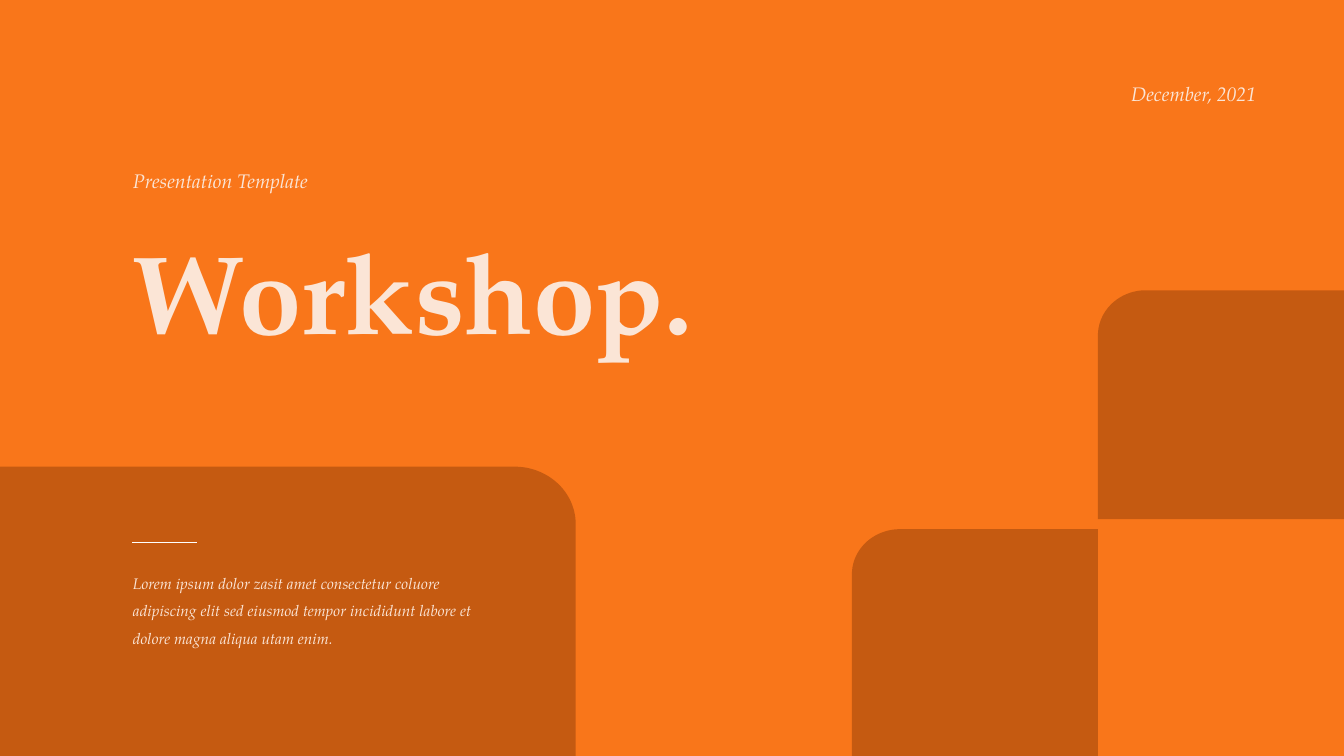
from dataclasses import dataclass
from math import cos, pi, sin

from pptx import Presentation
from pptx.dml.color import RGBColor as Rgb
from pptx.enum.shapes import MSO_CONNECTOR as Connector
from pptx.enum.text import MSO_AUTO_SIZE as AutoSize
from pptx.oxml.ns import qn
from pptx.util import Inches, Pt
from lxml.etree import SubElement

PAGE_WIDTH, PAGE_HEIGHT = 13.33, 7.5
TILE_WIDTH, TILE_HEIGHT, TILE_GAP = 2.44, 2.27, 0.1
MARGIN = 1.22


@dataclass(frozen=True)
class Theme:
    font: str = "TeX Gyre Pagella"
    background: Rgb = Rgb(0xF9, 0x76, 0x1A)
    panel: Rgb = Rgb(0xC5, 0x5A, 0x11)
    text: Rgb = Rgb(0xFB, 0xE5, 0xD6)
    rule: Rgb = Rgb(0xFF, 0xFF, 0xFF)
    title_size: int = 80
    label_size: int = 14
    body_size: int = 11


THEME = Theme()


def add_panel(page, left, top, width, height, round_left):
    """Draw a panel with one rounded top corner, cut off at the page bottom."""
    right, bottom = left + width, min(top + height, PAGE_HEIGHT)
    radius_x, radius_y = 0.21 * height, 0.197 * height
    inner, outer, far = (1, left, right) if round_left else (-1, right, left)
    steps = 40
    angles = [step * pi / 2 / steps for step in range(steps + 1)]
    corner = [(outer + inner * radius_x * (1 - cos(angle)),
               top + radius_y * (1 - sin(angle))) for angle in angles]
    points = [(outer, bottom), *corner, (far, top), (far, bottom)]
    start, *rest = [(Inches(x), Inches(y)) for x, y in points]
    builder = page.shapes.build_freeform(*start)
    builder.add_line_segments(rest, close=True)
    panel = builder.convert_to_shape()
    panel.shadow.inherit = False
    panel.fill.solid()
    panel.fill.fore_color.rgb = THEME.panel
    panel.line.fill.background()


def add_text(page, area, lines, size, wrap=False, spacing=None, **style):
    box = page.shapes.add_textbox(*map(Inches, area))
    frame = box.text_frame
    frame.word_wrap = wrap
    frame.auto_size = AutoSize.SHAPE_TO_FIT_TEXT
    font_format = {"name": THEME.font, "size": Pt(size), **style}
    for index, line in enumerate(lines):
        para = frame.add_paragraph() if index else frame.paragraphs[0]
        para.line_spacing = spacing
        span = para.add_run()
        span.text = line
        for key, value in font_format.items():
            setattr(span.font, key, value)
        span.font.color.rgb = THEME.text


def add_rule(page, left, top, width):
    ends = map(Inches, (left, top, left + width, top))
    rule = page.shapes.add_connector(Connector.STRAIGHT, *ends)
    rule.line.color.rgb = THEME.rule
    rule.line.width = Pt(1)
    SubElement(rule._element.spPr, qn("a:effectLst"))


def main():
    deck = Presentation()
    deck.slide_width, deck.slide_height = Inches(PAGE_WIDTH), Inches(PAGE_HEIGHT)
    page = deck.slides.add_slide(deck.slide_layouts[6])
    page.background.fill.solid()
    page.background.fill.fore_color.rgb = THEME.background

    add_panel(page, 0, 4.63, 5.71, 2.89, round_left=False)
    for columns_from_right, row in ((1, 0), (2, 1)):
        add_panel(page, PAGE_WIDTH - columns_from_right * TILE_WIDTH,
                  2.88 + row * (TILE_HEIGHT + TILE_GAP),
                  TILE_WIDTH, TILE_HEIGHT, round_left=True)

    add_text(page, (MARGIN, 2.16, 5.99, 1.45), ["Workshop."],
             THEME.title_size, bold=True)
    add_text(page, (MARGIN, 1.63, 2.28, 0.34), ["Presentation Template"],
             THEME.label_size, italic=True)
    add_text(page, (11.12, 0.76, 1.57, 0.34), ["December, 2021"],
             THEME.label_size, italic=True)
    add_rule(page, 1.31, 5.38, 0.64)
    add_text(page, (MARGIN, 5.55, 3.72, 0.9),
             ["Lorem ipsum dolor zasit amet consectetur coluore",
              "adipiscing elit sed eiusmod tempor incididunt labore et "
              "dolore magna aliqua utam enim."],
             THEME.body_size, wrap=True, spacing=1.5, italic=True)
    deck.save("out.pptx")


if __name__ == "__main__":
    main()
